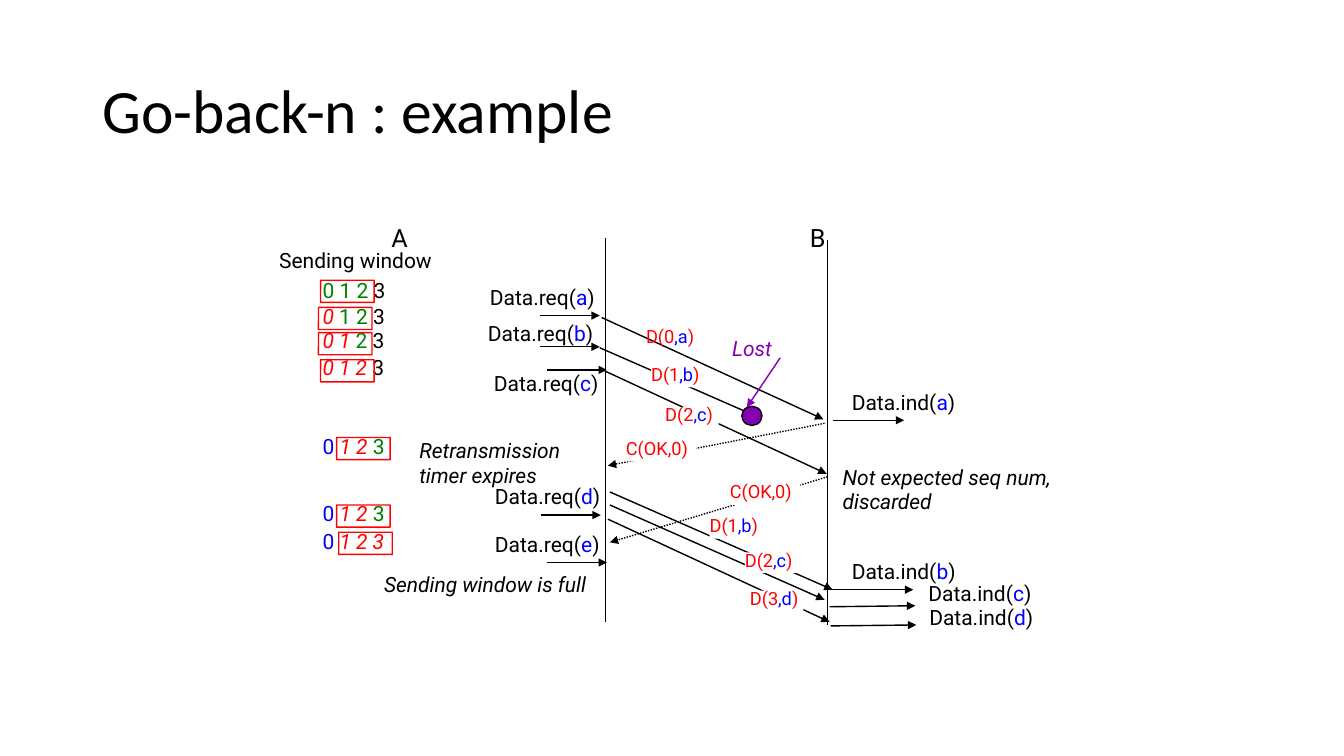
import dataclasses

import pptx
import pptx.dml.color
import pptx.enum.dml
import pptx.enum.shapes
import pptx.enum.text
import pptx.oxml
import pptx.oxml.ns
import pptx.util

Pt = pptx.util.Pt
SHAPES = pptx.enum.shapes.MSO_SHAPE


@dataclasses.dataclass(frozen=True)
class Theme:
    ink: str = "000000"
    paper: str = "FFFFFF"
    sent: str = "FF0000"
    free: str = "008000"
    data: str = "0000FF"
    lost: str = "8500AF"
    title_font: str = "Calibri"
    font: str = "Roboto"
    title_size: int = 44
    host_size: int = 18
    label_size: int = 15
    frame_size: int = 13
    line: int = 1


THEME = Theme()


def rgb(colour):
    return pptx.dml.color.RGBColor.from_string(colour)


def add_run(paragraph, wording, colour, size, font=THEME.font, italic=False):
    run = paragraph.add_run()
    run.text = wording
    run.font.name = font
    run.font.size = Pt(size)
    run.font.italic = italic
    run.font.color.rgb = rgb(colour)


def add_label(slide, left, top, width, height, lines, size=THEME.label_size,
              spacing=0.84, masked=False):
    """Each line is a list of (wording, colour) or (wording, colour, italic)."""
    label = slide.shapes.add_textbox(Pt(left), Pt(top), Pt(width), Pt(height))
    frame = label.text_frame
    frame.margin_left = frame.margin_right = frame.margin_top = frame.margin_bottom = 0
    frame.word_wrap = masked
    if masked:
        label.fill.solid()
        label.fill.fore_color.rgb = rgb(THEME.paper)
    else:
        frame.auto_size = pptx.enum.text.MSO_AUTO_SIZE.SHAPE_TO_FIT_TEXT
    for index, runs in enumerate(lines):
        paragraph = frame.add_paragraph() if index else frame.paragraphs[0]
        paragraph.line_spacing = spacing
        for wording, colour, *italic in runs:
            add_run(paragraph, wording, colour, size, italic=bool(italic))


def add_note(slide, left, top, width, *lines):
    add_label(slide, left, top, width, 17.6 * len(lines),
              [[(line, THEME.ink, True)] for line in lines], spacing=0.97)


def add_line(slide, x1, y1, x2, y2, colour=THEME.ink, arrow=True, dotted=False):
    line = slide.shapes.add_connector(
        pptx.enum.shapes.MSO_CONNECTOR.STRAIGHT, Pt(x1), Pt(y1), Pt(x2), Pt(y2))
    line.line.color.rgb = rgb(colour)
    line.line.width = Pt(THEME.line)
    if dotted:
        line.line.dash_style = pptx.enum.dml.MSO_LINE.ROUND_DOT
    namespace = pptx.oxml.ns.nsdecls("a")
    if arrow:
        line.line._get_or_add_ln().append(
            pptx.oxml.parse_xml(f'<a:tailEnd {namespace} type="triangle"/>'))
    line._element.spPr.append(pptx.oxml.parse_xml(f"<a:effectLst {namespace}/>"))


def add_outlined(slide, preset, left, top, width, height, colour, fill=None):
    shape = slide.shapes.add_shape(preset, Pt(left), Pt(top), Pt(width), Pt(height))
    shape.shadow.inherit = False
    shape.line.color.rgb = rgb(colour)
    shape.line.width = Pt(THEME.line)
    if fill:
        shape.fill.solid()
        shape.fill.fore_color.rgb = rgb(fill)
    else:
        shape.fill.background()
    return shape


def add_window(slide, top, runs, box_left, box_top):
    add_label(slide, 230.4, top, 50.4, 15.8, [runs])
    box = add_outlined(slide, SHAPES.ROUNDED_RECTANGLE, box_left, box_top,
                       38.2, 15.8, THEME.sent)
    box.adjustments[0] = 0.005


def add_primitive(slide, name, payload, left, top, arrow):
    add_line(slide, *arrow)
    add_label(slide, left, top, 75.6, 15.8, [[
        (f"Data.{name}(", THEME.ink), (payload, THEME.data), (")", THEME.ink)]])


def add_frame(slide, number, payload, left, top, arrow, masked=True):
    add_line(slide, *arrow)
    add_label(slide, left, top, 38.2, 14.6, [[
        (f"D({number}", THEME.sent), (f",{payload}", THEME.data), (")", THEME.sent)]],
        THEME.frame_size, masked=masked)


def add_ack(slide, left, top, arrow):
    add_line(slide, *arrow, dotted=True)
    add_label(slide, left, top, 50.4, 15, [[("C(OK,0)", THEME.sent)]],
              THEME.frame_size, masked=True)


def add_title(slide, wording):
    title = slide.shapes.title
    title.left, title.top, title.width, title.height = Pt(66), Pt(28.8), Pt(828), Pt(104.4)
    title.text_frame.vertical_anchor = pptx.enum.text.MSO_ANCHOR.MIDDLE
    paragraph = title.text_frame.paragraphs[0]
    paragraph.alignment = pptx.enum.text.PP_ALIGN.LEFT
    paragraph.line_spacing = 0.9
    add_run(paragraph, wording, THEME.ink, THEME.title_size, THEME.title_font)


def main():
    deck = pptx.Presentation()
    deck.slide_width, deck.slide_height = Pt(960), Pt(540)
    slide = deck.slides.add_slide(deck.slide_layouts[5])
    add_title(slide, "Go-back-n : example")

    # Hosts and their time lines
    add_line(slide, 432.7, 169.9, 432.7, 444.2, arrow=False)
    add_line(slide, 591.1, 171.4, 591.1, 446.4, arrow=False)
    for host, left in (("A", 279.5), ("B", 578.5)):
        add_label(slide, left, 162, 12, 18.7, [[(host, THEME.ink)]], THEME.host_size)

    # Sending window after each step
    add_label(slide, 199.4, 180, 110.2, 15.8, [[("Sending window", THEME.ink)]])
    ink, sent, free, data = THEME.ink, THEME.sent, THEME.free, THEME.data
    slid = [("0 ", data), ("1 2 ", sent, True), ("3", free)]
    for window in (
        (200.9, [("0 1 2", free), (" 3", ink)], 229, 200.2),
        (219.6, [("0", sent, True), (" 1 2", free), (" 3", ink)], 227.5, 219.6),
        (236.9, [("0 1 ", sent, True), ("2", free), (" 3", ink)], 227.5, 237.6),
        (256.3, [("0 1 2", sent, True), (" 3", ink)], 229, 257),
        (312.5, slid, 240.5, 312.5),
        (360.7, slid, 240.5, 360.7),
        (380.2, [("0 ", data), ("1 2 3", sent, True)], 242, 380.2),
    ):
        add_window(slide, *window)

    # First transmission and acknowledgements
    add_frame(slide, 0, "a", 461.5, 234.7, (429.8, 226.8, 588.2, 299.5), masked=False)
    add_frame(slide, 2, "c", 475.2, 290.9, (432, 265, 590.4, 338.4))
    add_ack(slide, 447.1, 314.6, (589, 302.4, 434.2, 332.6))
    add_ack(slide, 521.3, 345.6, (591.1, 340.6, 435.6, 387.4))
    add_frame(slide, 1, "b", 465.1, 262.1, (428.4, 248.4, 538.6, 296.6))

    # Lost frame
    add_line(slide, 557.3, 255.6, 533.5, 290.9, THEME.lost)
    add_outlined(slide, SHAPES.OVAL, 529.9, 290.2, 14.4, 13.7, THEME.ink, THEME.lost)
    add_label(slide, 523, 241, 30, 17.6, [[("Lost", THEME.lost, True)]],
              spacing=0.97, masked=True)

    # Retransmission
    add_frame(slide, 1, "b", 506.9, 370.1, (435.6, 351.4, 594.7, 421.2))
    add_frame(slide, 3, "d", 535.7, 421.9, (434.2, 370.8, 592.6, 444.2))
    add_frame(slide, 2, "c", 532.1, 394.6, (435.6, 360.7, 589, 428.4))

    # Requests at A: payload, label corner, arrow start
    for payload, left, top, start, level in (
        ("a", 349.9, 205.9, 385.9, 225.4),
        ("b", 348.5, 231.8, 385.9, 247.7),
        ("c", 352.8, 267.8, 391, 264.2),
        ("d", 353.5, 348.5, 386.6, 367.9),
        ("e", 353.5, 382.3, 391, 401.8),
    ):
        add_primitive(slide, "req", payload, left, top, (start, level, start + 42.5, level))

    # Indications at B
    for payload, left, top, arrow in (
        ("a", 608.4, 280.8, (594.7, 300.2, 645.8, 300.2)),
        ("b", 608.4, 401.8, (591.1, 421.2, 652.3, 421.2)),
        ("c", 663.1, 417.6, (592.6, 433.4, 653.8, 432.7)),
        ("d", 663.8, 434.9, (593.3, 447.1, 654.5, 446.4)),
    ):
        add_primitive(slide, "ind", payload, left, top, arrow)

    # Remarks
    add_note(slide, 601.9, 332.6, 159.1, "Not expected seq num,", "discarded")
    add_note(slide, 299.5, 313.9, 107.3, "Retransmission", "timer expires")
    add_note(slide, 274.3, 409, 151.9, "Sending window is full")

    deck.save("out.pptx")


if __name__ == "__main__":
    main()
